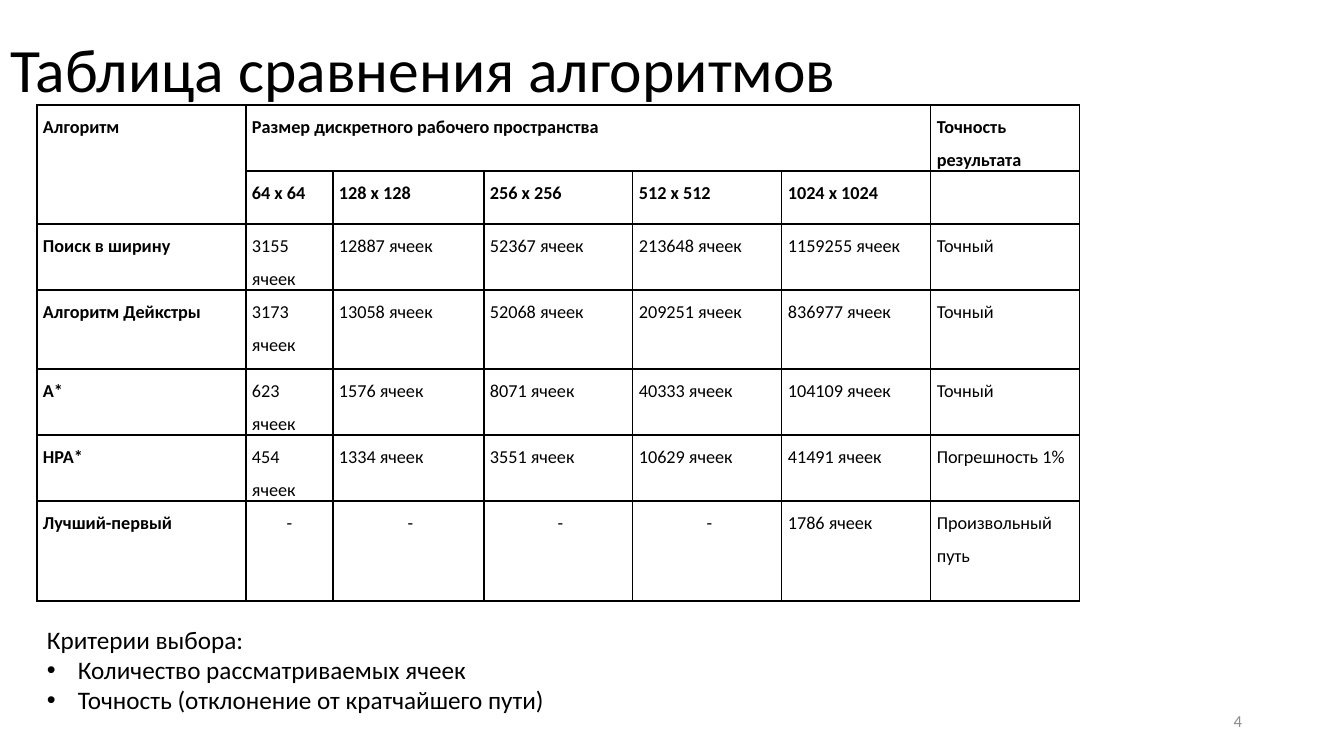
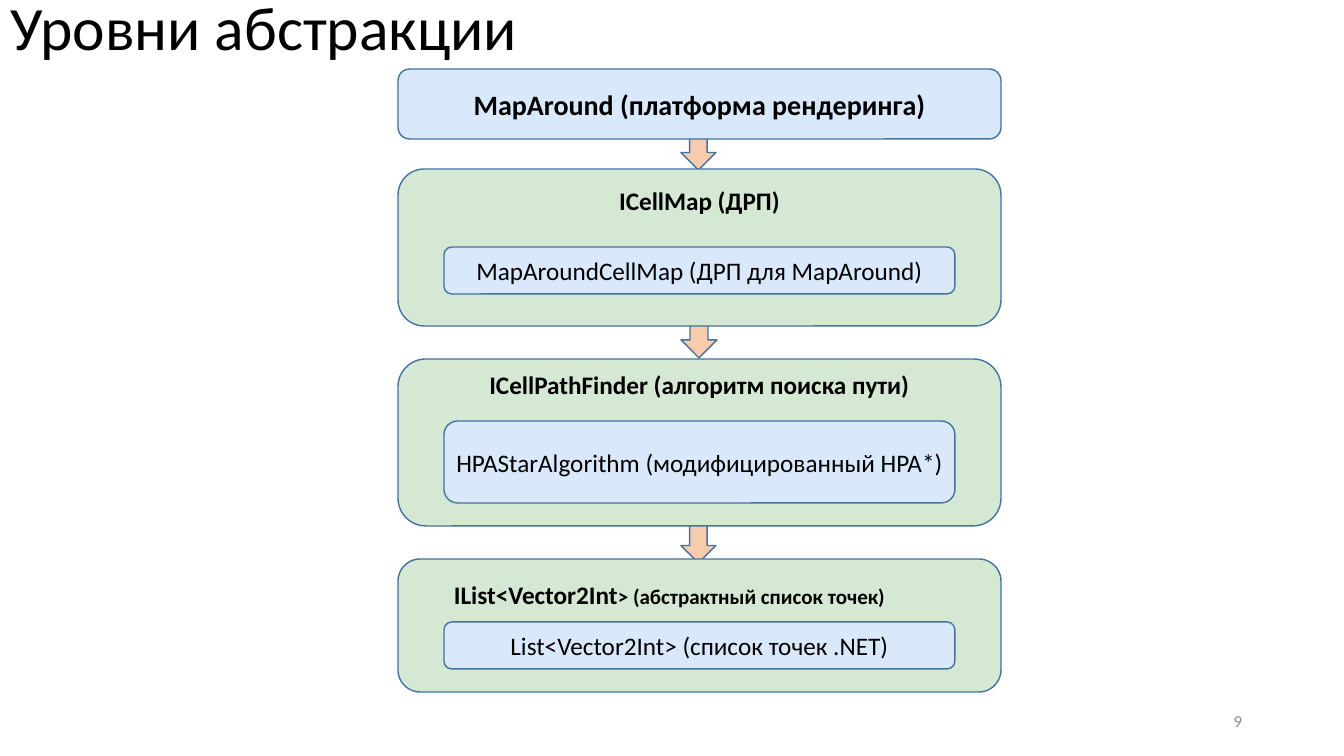
from lxml import etree
from pptx import Presentation
from pptx.dml.color import RGBColor
from pptx.enum.shapes import MSO_SHAPE as SHAPE
from pptx.enum.text import MSO_ANCHOR as ANCHOR, PP_ALIGN as ALIGN
from pptx.oxml import parse_xml
from pptx.oxml.ns import nsdecls, qn
from pptx.util import Pt

FONT = "Calibri"
COLORS = {"text": "000000", "number": "8C8C8C", "line": "43739E",
          "blue": "DAE8FC", "green": "D5E8D4", "arrow": "F8CBAD"}
SCALE = 914400 / 100.8


def px(*values):
    return [round(v * SCALE) for v in values]


def write(tf, text, size, bold=False, color="text", align=ALIGN.LEFT, spacing=None):
    tf.text = text
    for p in tf.paragraphs:
        p.alignment = align
        p.line_spacing = spacing
        for r in p.runs:
            r.font.name, r.font.size, r.font.bold = FONT, Pt(size), bold
            r.font.color.rgb = RGBColor.from_string(COLORS[color])


prs = Presentation()
prs.slide_width, prs.slide_height = px(1344, 756)

# Shared title and slide number
slides = []
for title, top, number in [("Таблица сравнения алгоритмов", 0, "4"),
                           ("Уровни абстракции", -42, "9")]:
    s = prs.slides.add_slide(prs.slide_layouts[5])
    sp = s.shapes.title
    sp.left, sp.top, sp.width, sp.height = px(0, top, 1159, 146)
    write(sp.text_frame, title, 44, spacing=0.9)
    sp.text_frame.vertical_anchor = ANCHOR.MIDDLE
    tf = s.shapes.add_textbox(*px(950, 701, 302, 40)).text_frame
    tf.word_wrap = True
    tf.vertical_anchor = ANCHOR.MIDDLE
    write(tf, number, 12, color="number", align=ALIGN.RIGHT)
    slides.append(s)
table_slide, levels_slide = slides

# Comparison table
col_widths = [209, 87, 151, 149, 149, 149, 149]
row_heights = [66, 53, 66, 79, 66, 66, 100]
rows = [
    ["Алгоритм", "Размер дискретного рабочего пространства", "", "", "", "",
     "Точность результата"],
    ["", "64 x 64", "128 x 128", "256 x 256", "512 x 512", "1024 x 1024", ""],
    ["Поиск в ширину", "3155 ячеек", "12887 ячеек", "52367 ячеек", "213648 ячеек",
     "1159255 ячеек", "Точный"],
    ["Алгоритм Дейкстры", "3173 ячеек", "13058 ячеек", "52068 ячеек", "209251 ячеек",
     "836977 ячеек", "Точный"],
    ["A*", "623 ячеек", "1576 ячеек", "8071 ячеек", "40333 ячеек", "104109 ячеек", "Точный"],
    ["HPA*", "454 ячеек", "1334 ячеек", "3551 ячеек", "10629 ячеек", "41491 ячеек",
     "Погрешность 1%"],
    ["Лучший-первый", "-", "\u00a0-", "\u00a0-", "\u00a0-", "1786 ячеек",
     "Произвольный путь"],
]
table = table_slide.shapes.add_table(
    len(rows), len(col_widths),
    *px(37, 105, sum(col_widths), sum(row_heights))).table
table.first_row = table.horz_banding = False
for col, width in zip(table.columns, px(*col_widths)):
    col.width = width
for row, height in zip(table.rows, px(*row_heights)):
    row.height = height
for i, texts in enumerate(rows):
    for j, text in enumerate(texts):
        cell = table.cell(i, j)
        cell.margin_left, cell.margin_right, cell.margin_top, cell.margin_bottom = px(6, 6, 0, 0)
        cell.fill.background()
        write(cell.text_frame, text, 13, bold=i < 2 or j == 0, spacing=1.5,
              align=ALIGN.CENTER if text.endswith("-") else ALIGN.LEFT)
        for k, side in enumerate(["lnL", "lnR", "lnT", "lnB"]):
            cell._tc.get_or_add_tcPr().insert(k, parse_xml(
                f'<a:{side} {nsdecls("a")} w="{Pt(1)}"><a:solidFill>'
                f'<a:srgbClr val="{COLORS["text"]}"/></a:solidFill></a:{side}>'))
table.cell(0, 0).merge(table.cell(1, 0))
table.cell(0, 1).merge(table.cell(0, 5))

# Selection criteria
tf = table_slide.shapes.add_textbox(*px(37, 619, 524, 102)).text_frame
tf.word_wrap = False
write(tf, "Критерии выбора:\nКоличество рассматриваемых ячеек\n"
          "Точность (отклонение от кратчайшего пути)", 18)
indent, = px(31)
for p in tf.paragraphs[1:]:
    pPr = p._p.get_or_add_pPr()
    pPr.set("marL", str(indent))
    pPr.set("indent", str(-indent))
    etree.SubElement(pPr, qn("a:buFont")).set("typeface", "Arial")
    etree.SubElement(pPr, qn("a:buChar")).set("char", "•")

# Abstraction levels: arrows behind, outer boxes, inner boxes
OUTER, INNER = (398, 603), (444, 511)
blocks = [
    (SHAPE.DOWN_ARROW, (681, 35), 122, 48, "arrow", "", 18),
    (SHAPE.DOWN_ARROW, (681, 36), 303, 55, "arrow", "", 18),
    (SHAPE.DOWN_ARROW, (681, 35), 503, 60, "arrow", "", 18),
    (SHAPE.ROUNDED_RECTANGLE, OUTER, 69, 70, "blue", "MapAround (платформа рендеринга)", 20),
    (SHAPE.ROUNDED_RECTANGLE, OUTER, 169, 157, "green", "", 18),
    (SHAPE.ROUNDED_RECTANGLE, INNER, 247, 47, "blue", "MapAroundCellMap (ДРП для MapAround)", 18),
    (SHAPE.ROUNDED_RECTANGLE, OUTER, 359, 167, "green", "", 18),
    (SHAPE.ROUNDED_RECTANGLE, INNER, 421, 82, "blue",
     "HPAStarAlgorithm (модифицированный HPA*)", 18),
    (SHAPE.ROUNDED_RECTANGLE, OUTER, 559, 133, "green", "", 18),
    (SHAPE.ROUNDED_RECTANGLE, INNER, 622, 47, "blue", "List<Vector2Int> (список точек .NET)", 18),
]
for kind, (left, width), top, height, color, text, size in blocks:
    sp = levels_slide.shapes.add_shape(kind, *px(left, top, width, height))
    sp.shadow.inherit = False
    sp.fill.solid()
    sp.fill.fore_color.rgb = RGBColor.from_string(COLORS[color])
    sp.line.color.rgb = RGBColor.from_string(COLORS["line"])
    sp.line.width = Pt(1)
    if text:
        tf = sp.text_frame
        tf.margin_left, tf.margin_right = px(3, 3)
        tf.vertical_anchor = ANCHOR.MIDDLE
        write(tf, text, size, bold=(left, width) == OUTER, align=ALIGN.CENTER)

# Interface names above the inner boxes
for top, text, align in [(180, "ICellMap (ДРП)", ALIGN.CENTER),
                         (364, "ICellPathFinder (алгоритм поиска пути)", ALIGN.CENTER),
                         (574, "IList<Vector2Int", ALIGN.LEFT)]:
    tf = levels_slide.shapes.add_textbox(*px(INNER[0], top, INNER[1], 40)).text_frame
    tf.word_wrap = True
    write(tf, text, 18, bold=True, align=align)
r = tf.paragraphs[0].add_run()
r.text = "> (абстрактный список точек)"
r.font.name, r.font.size, r.font.bold = FONT, Pt(15), True
r.font.color.rgb = RGBColor.from_string(COLORS["text"])

prs.save("out.pptx")
